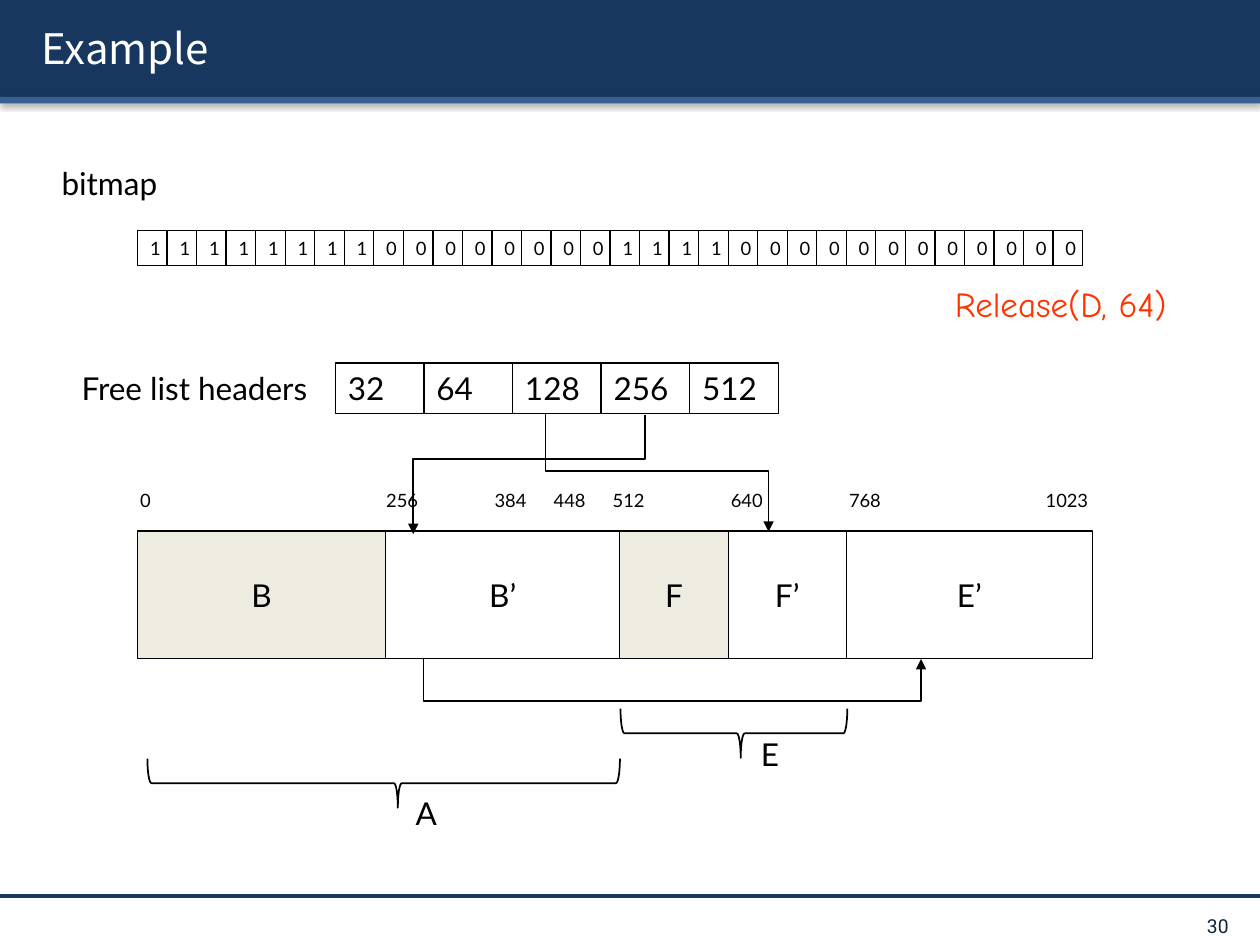
from dataclasses import dataclass
from typing import NamedTuple

from lxml import etree
from pptx import Presentation
from pptx import util as u
from pptx.dml.color import RGBColor
from pptx.enum import shapes, text
from pptx.oxml.ns import qn


@dataclass(frozen=True)
class Theme:
    navy: str = "17375E"
    blue: str = "376092"
    sand: str = "EEECE1"
    black: str = "000000"
    white: str = "FFFFFF"
    red: str = "FF3300"
    page: str = "0F243E"
    title_font: str = "Noto Sans CJK KR"
    body_font: str = "Lato"
    call_font: str = "Comic Neue"
    page_font: str = "Roboto"
    title: float = 24
    call: float = 20
    body: float = 18
    small: float = 10.5
    page_size: float = 11
    thin: float = 0.75
    medium: float = 1
    rule: float = 2


class Area(NamedTuple):
    left: float
    top: float
    width: float
    height: float


@dataclass(frozen=True)
class Segment:
    name: str
    start: float
    end: float
    used: bool = False


@dataclass(frozen=True)
class Link:
    start: tuple[float, float]
    end: tuple[float, float]
    bend: float


@dataclass(frozen=True)
class Style:
    size: float
    font: str
    color: str
    align: text.PP_ALIGN = text.PP_ALIGN.LEFT
    anchor: text.MSO_ANCHOR = text.MSO_ANCHOR.TOP


THEME = Theme()
WIDTH, HEIGHT = u.Inches(10), u.Inches(7.5)
GRID_LEFT, COLUMN = 10.92, 75 / 32
BODY = Style(THEME.body, THEME.body_font, THEME.black)
SMALL = Style(THEME.small, THEME.body_font, THEME.black)
CENTERED = Style(THEME.body, THEME.body_font, THEME.black,
                 text.PP_ALIGN.CENTER, text.MSO_ANCHOR.MIDDLE)
TITLE = Style(THEME.title, THEME.title_font, THEME.white, anchor=text.MSO_ANCHOR.MIDDLE)
CALL = Style(THEME.call, THEME.call_font, THEME.red)
PAGE = Style(THEME.page_size, THEME.page_font, THEME.page, text.PP_ALIGN.RIGHT)

BITS = "1" * 8 + "0" * 8 + "1" * 4 + "0" * 12
BLOCK_SIZES = ("32", "64", "128", "256", "512")
ADDRESSES = (("0", -0.33, 1), ("256", 8, 2), ("384", 11.67, 2), ("448", 13.67, 2),
             ("512", 15.67, 2), ("640", 19.67, 2), ("768", 23.67, 2), ("1023", 30.33, 2.33))
SEGMENTS = (Segment("B", 0, 8.4, True), Segment("E’", 24, 32.33),
            Segment("F", 16.33, 20, True), Segment("F’", 20, 24),
            Segment("B’", 8.4, 16.33))
LINKS = (Link((43.3, 43.73), (61, 56.27), 0.49),
         Link((51.2, 43.87), (32.8, 56.53), 0.37),
         Link((33.6, 69.6), (73.1, 69.73), 35))
CAPTIONS = (("Example", Area(2.3, 0.8, 96.1, 8.53), TITLE),
            ("Release(D, 64)", Area(74.8, 29.2, 24.4, 5.87), CALL),
            ("bitmap", Area(3.9, 16.67, 14.8, 5.33), BODY),
            ("Free list headers", Area(5.5, 38.4, 23.4, 5.33), BODY),
            ("A", Area(32, 83.33, 3.9, 5.33), BODY),
            ("E", Area(59.4, 77.07, 3.9, 5.33), BODY),
            ("30", Area(86.8, 96.13, 11.7, 3.2), PAGE))
BRACES = (Area(28.5, 57.87, 3.9, 50), Area(56.3, 65.6, 3.9, 24))


def across(share: float) -> int:
    return round(WIDTH * share / 100)


def down(share: float) -> int:
    return round(HEIGHT * share / 100)


def place(area: Area) -> tuple[int, int, int, int]:
    return across(area.left), down(area.top), across(area.width), down(area.height)


def cell(column: float, span: float, top: float, height: float) -> Area:
    return Area(GRID_LEFT + column * COLUMN, top, span * COLUMN, height)


def write(shape, words: str, style: Style) -> None:
    frame = shape.text_frame
    frame.text = words
    frame.word_wrap = True
    frame.vertical_anchor = style.anchor
    paragraph = frame.paragraphs[0]
    paragraph.alignment = style.align
    font = paragraph.runs[0].font
    font.size, font.name = u.Pt(style.size), style.font
    font.color.rgb = RGBColor.from_string(style.color)


def add_caption(slide, words: str, area: Area, style: Style):
    shape = slide.shapes.add_textbox(*place(area))
    write(shape, words, style)
    return shape


def outline(line, weight: float, color: str = THEME.black) -> None:
    line.width = u.Pt(weight)
    line.color.rgb = RGBColor.from_string(color)


def add_cell(container, words: str, area: Area, style: Style, fill: str = "") -> None:
    shape = container.add_shape(shapes.MSO_SHAPE.RECTANGLE, *place(area))
    shape.shadow.inherit = False
    if fill:
        shape.fill.solid()
        shape.fill.fore_color.rgb = RGBColor.from_string(fill)
    else:
        shape.fill.background()
    outline(shape.line, THEME.thin)
    write(shape, words, style)


def add_shadow(properties, blur: float, distance: float, opacity: int) -> None:
    effects = properties.find(qn("a:effectLst"))
    if effects is None:
        effects = etree.Element(qn("a:effectLst"))
        properties.find(qn("a:solidFill")).addnext(effects)
    shadow = etree.SubElement(effects, qn("a:outerShdw"), blurRad=str(u.Pt(blur)),
                              dist=str(u.Pt(distance)), dir="5400000", rotWithShape="0")
    color = etree.SubElement(shadow, qn("a:srgbClr"), val=THEME.black)
    etree.SubElement(color, qn("a:alpha"), val=str(opacity * 1000))


def add_band(slide, area: Area, color: str) -> None:
    shape = slide.shapes.add_shape(shapes.MSO_SHAPE.RECTANGLE, *place(area))
    shape.shadow.inherit = False
    shape.fill.solid()
    shape.fill.fore_color.rgb = RGBColor.from_string(color)
    shape.line.fill.background()
    add_shadow(shape._element.spPr, 3.1, 1.6, 38)


def add_brace(slide, area: Area) -> None:
    shape = slide.shapes.add_shape(shapes.MSO_SHAPE.LEFT_BRACE, *place(area))
    shape.shadow.inherit = False
    shape.rotation = 270
    shape.adjustments[0], shape.adjustments[1] = 0.08, 0.53
    shape.fill.background()
    outline(shape.line, THEME.medium)


def add_link(slide, link: Link) -> None:
    (x1, y1), (x2, y2) = link.start, link.end
    left, top, right, bottom = across(x1), down(y1), across(x2), down(y2)
    drop, run = bottom - top, abs(right - left)
    middle_x, middle_y = (left + right) // 2, (top + bottom) // 2
    corner_x, corner_y = middle_x - drop // 2, middle_y - run // 2
    connector = slide.shapes.add_connector(shapes.MSO_CONNECTOR.ELBOW, corner_x, corner_y,
                                           corner_x + drop, corner_y + run)
    properties = connector._element.spPr
    frame = properties.find(qn("a:xfrm"))
    frame.set("rot", str((270 if right > left else 90) * 60000))
    if right > left:
        frame.set("flipH", "1")
    guides = properties.find(qn("a:prstGeom")).get_or_add_avLst()
    etree.SubElement(guides, qn("a:gd"), name="adj1", fmla=f"val {round(link.bend * 100000)}")
    outline(connector.line, THEME.medium)
    etree.SubElement(connector.line._get_or_add_ln(), qn("a:tailEnd"), type="triangle")
    etree.SubElement(properties, qn("a:effectLst"))


def main() -> None:
    presentation = Presentation()
    presentation.slide_width, presentation.slide_height = WIDTH, HEIGHT
    slide = presentation.slides.add_slide(presentation.slide_layouts[6])

    add_band(slide, Area(0, 0, 100, 10.27), THEME.navy)
    add_band(slide, Area(0, 10.27, 100, 0.67), THEME.blue)
    rule = slide.shapes.add_connector(shapes.MSO_CONNECTOR.STRAIGHT,
                                      0, down(94.8), WIDTH, down(94.8))
    outline(rule.line, THEME.rule, THEME.navy)
    etree.SubElement(rule._element.spPr, qn("a:effectLst"))

    captions = [add_caption(slide, *caption) for caption in CAPTIONS]
    title_run = captions[0].text_frame.paragraphs[0].runs[0]
    add_shadow(title_run.font._element, 0, 2, 100)

    for index, size in enumerate(BLOCK_SIZES):
        add_cell(slide.shapes, size, cell(6.7 + 3 * index, 3, 38.4, 5.33), BODY)
    for segment in SEGMENTS:
        area = cell(segment.start, segment.end - segment.start, 56.2, 13.47)
        add_cell(slide.shapes, segment.name, area, CENTERED, THEME.sand if segment.used else "")
    for address, column, span in ADDRESSES:
        add_caption(slide, address, cell(column, span, 51.07, 3.73), SMALL)
    for area in BRACES:
        add_brace(slide, area)
    for link in LINKS:
        add_link(slide, link)
    bitmap = slide.shapes.add_group_shape()
    for index, bit in enumerate(BITS):
        add_cell(bitmap.shapes, bit, cell(index, 1, 24.4, 3.73), SMALL)

    presentation.save("out.pptx")


if __name__ == "__main__":
    main()
